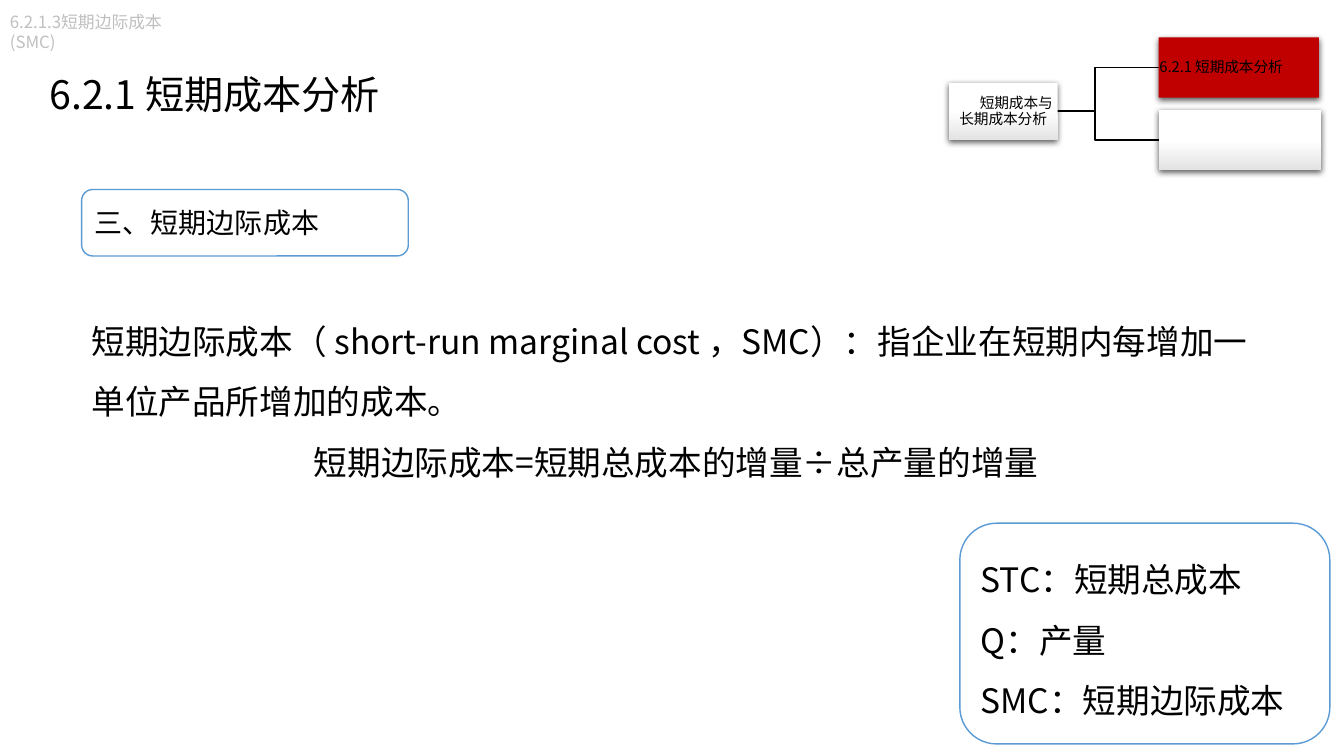
from lxml import etree
from pptx import Presentation
from pptx.dml.color import RGBColor
from pptx.enum.shapes import MSO_SHAPE as SHAPE
from pptx.enum.text import MSO_ANCHOR as ANCHOR, MSO_AUTO_SIZE as AUTO, PP_ALIGN as ALIGN
from pptx.oxml import parse_xml
from pptx.oxml.ns import nsdecls, qn
from pptx.util import Inches, Pt

FONT = "Noto Sans CJK SC"
BLACK, WHITE, BLUE = "000000", "FFFFFF", "5B9BD5"
SHADOW = (f'<a:effectLst {nsdecls("a")}><a:outerShdw blurRad="57150" dist="19050" '
          'dir="5400000" algn="ctr" rotWithShape="0"><a:srgbClr val="000000">'
          '<a:alpha val="63000"/></a:srgbClr></a:outerShdw></a:effectLst>')


def rgb(value):
    return RGBColor.from_string(value)


def write(sp, text, size, color=BLACK, anchor=ANCHOR.TOP, spacing=None, margins=(0.1, 0.05)):
    """Fill a shape with left-aligned text, one paragraph per line."""
    tf = sp.text_frame
    tf.text = text
    tf.word_wrap = True
    tf.auto_size = AUTO.NONE
    tf.vertical_anchor = anchor
    tf.margin_left = tf.margin_right = Inches(margins[0])
    tf.margin_top = tf.margin_bottom = Inches(margins[1])
    for p in tf.paragraphs:
        p.alignment = ALIGN.LEFT
        p.line_spacing = spacing
        for r in p.runs:
            r.font.name = FONT
            r.font.size = Pt(size)
            r.font.color.rgb = rgb(color)
            ea = etree.SubElement(r.font._element, qn("a:ea"))
            ea.set("typeface", FONT)
    return tf


prs = Presentation()
prs.slide_width, prs.slide_height = Inches(13.33), Inches(7.5)
s = prs.slides.add_slide(prs.slide_layouts[5])
shapes = s.shapes

title = shapes.title
title.left, title.top = Inches(0.37), Inches(0.64)
title.width, title.height = Inches(9.65), Inches(0.59)
write(title, "6.2.1 短期成本分析", 28, margins=(0.12, 0.06))

# Rounded boxes: section heading and legend
rounded_boxes = [
    (0.81, 1.88, 3.24, 0.66, "三、短期边际成本", 20, ANCHOR.MIDDLE, None),
    (9.52, 5.19, 3.67, 2.19, "STC：短期总成本\nQ：产量\nSMC：短期边际成本", 24, ANCHOR.TOP, 1.5),
]
for x, y, w, h, text, size, anchor, spacing in rounded_boxes:
    sp = shapes.add_shape(SHAPE.ROUNDED_RECTANGLE, Inches(x), Inches(y), Inches(w), Inches(h))
    sp.shadow.inherit = False
    sp.fill.solid()
    sp.fill.fore_color.rgb = rgb(WHITE)
    sp.line.color.rgb = rgb(BLUE)
    sp.line.width = Pt(1)
    write(sp, text, size, anchor=anchor, spacing=spacing)

# Outline tree: branches first, so that the boxes cover their ends
for branch_y in (1.39, 0.67):
    fb = shapes.build_freeform(Inches(10.24), Inches(1.1))
    fb.add_line_segments([(Inches(x), Inches(y)) for x, y in
                          ((10.86, 1.1), (10.86, branch_y), (11.49, branch_y))], close=False)
    sp = fb.convert_to_shape()
    sp.shadow.inherit = False
    sp.fill.background()
    sp.line.color.rgb = rgb(BLACK)
    sp.line.width = Pt(1)

tree_boxes = [
    (9.41, 0.82, 1.08, 0.57, "短期成本与长期成本分析", None),
    (11.49, 0.37, 1.59, 0.6, "6.2.1 短期成本分析", "C00000"),
    (11.49, 1.09, 1.61, 0.6, "", None),
]
for x, y, w, h, text, fill in tree_boxes:
    sp = shapes.add_shape(SHAPE.RECTANGLE, Inches(x), Inches(y), Inches(w), Inches(h))
    sp.line.fill.background()
    if fill:
        sp.fill.solid()
        sp.fill.fore_color.rgb = rgb(fill)
    else:
        sp.fill.gradient()
        sp.fill.gradient_angle = 270
        for stop, position, color in zip(sp.fill.gradient_stops, (0.5, 1), (WHITE, "E3E3E3")):
            stop.position = position
            stop.color.rgb = rgb(color)
    sp._element.spPr.append(parse_xml(SHADOW))
    if text:
        tf = write(sp, text, 10.5, anchor=ANCHOR.MIDDLE, spacing=0.9, margins=(0.01, 0.01))
        if not fill:
            p = tf.paragraphs[0]
            p.alignment = ALIGN.CENTER
            p._p.get_or_add_pPr().set("indent", str(Inches(0.26)))

definition = shapes.add_textbox(Inches(0.81), Inches(2.93), Inches(11.79), Inches(1.92))
tf = write(definition, "短期边际成本（ short-run marginal cost ，SMC）：指企业在短期内每增加一单位产品所增加的成本。\n"
           "短期边际成本=短期总成本的增量÷总产量的增量", 24, spacing=1.5)
tf.paragraphs[1].alignment = ALIGN.CENTER

section = shapes.add_textbox(Inches(0), Inches(0.07), Inches(2), Inches(0.5))
write(section, "6.2.1.3短期边际成本(SMC)", 12, "BFBFBF")

prs.save("out.pptx")
